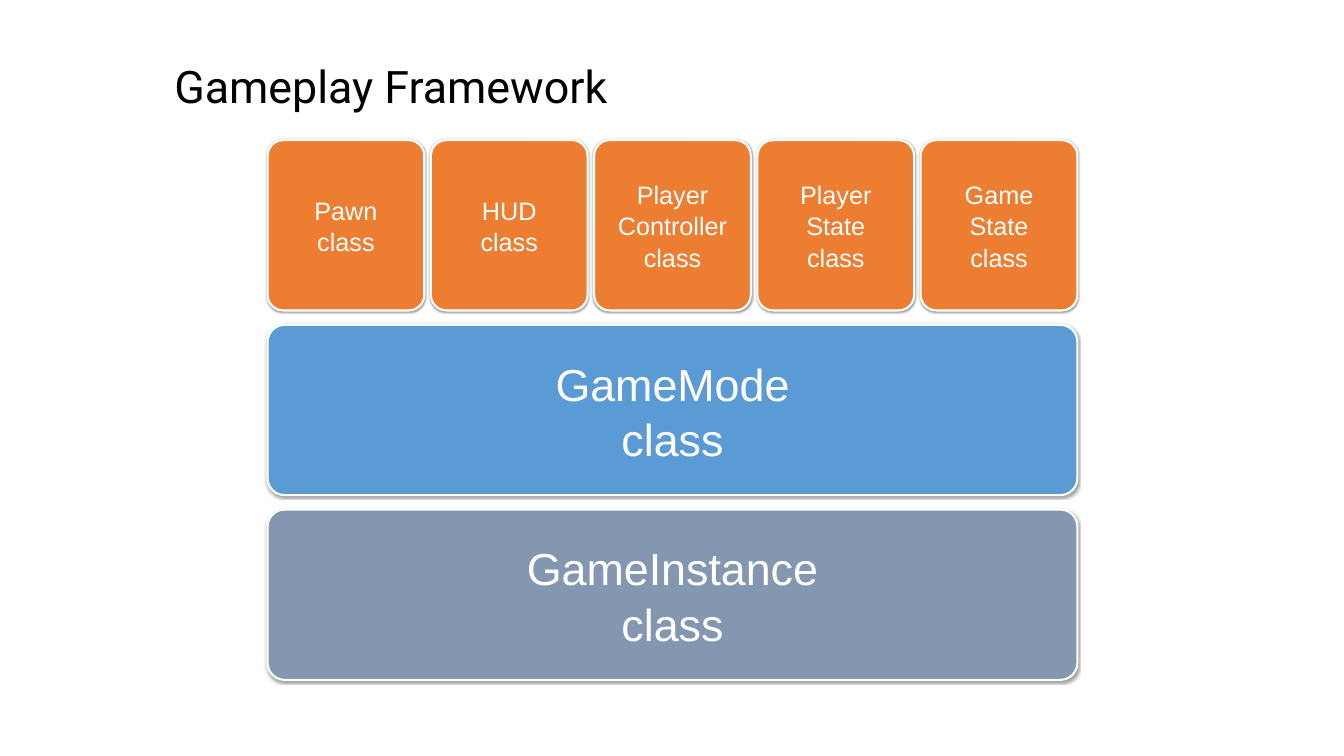
from lxml import etree
from pptx import Presentation
from pptx.dml.color import RGBColor
from pptx.enum.shapes import MSO_SHAPE
from pptx.enum.text import MSO_ANCHOR, PP_ALIGN
from pptx.oxml.ns import qn
from pptx.util import Inches, Pt

ROUNDED = MSO_SHAPE.ROUNDED_RECTANGLE
TOP, MIDDLE = MSO_ANCHOR.TOP, MSO_ANCHOR.MIDDLE
LEFT, CENTER = PP_ALIGN.LEFT, PP_ALIGN.CENTER

WHITE = RGBColor(0xFF, 0xFF, 0xFF)
BLACK = RGBColor(0x00, 0x00, 0x00)
ORANGE = RGBColor(0xED, 0x7D, 0x31)
BLUE = RGBColor(0x5B, 0x9B, 0xD5)
SLATE = RGBColor(0x84, 0x97, 0xB0)

SLIDE_W, SLIDE_H = 26.67, 15
TITLE_BOX = (3.26, 1.07, 22.49, 1.28)
STACK_BOX = (5.31, 2.78, 16.07, 10.71)
ROW_GAP, COLUMN_GAP = 0.285, 0.13

ACTOR_CLASSES = ["Pawn", "HUD", "Player Controller", "Player State", "Game State"]
BASE_CLASSES = [("GameMode", BLUE), ("GameInstance", SLATE)]


def write_text(tf, lines, size, font="Arial", color=WHITE, align=CENTER,
               anchor=MIDDLE, inset=(0.27, 0.27), spacing=1.04):
    tf.word_wrap = True
    tf.vertical_anchor = anchor
    tf.margin_left = tf.margin_right = Inches(inset[0])
    tf.margin_top = tf.margin_bottom = Inches(inset[1])
    for i, line in enumerate(lines):
        p = tf.add_paragraph() if i else tf.paragraphs[0]
        p.alignment = align
        p.line_spacing = spacing
        r = p.add_run()
        r.text = line
        r.font.size = Pt(size)
        r.font.name = font
        r.font.color.rgb = color


def add_soft_shadow(sp):
    sp.shadow.inherit = False
    effects = sp.element.spPr.find(qn("a:effectLst"))
    shadow = etree.SubElement(effects, qn("a:outerShdw"), blurRad=str(Pt(3.1)),
                              dist=str(Pt(1.6)), dir="5400000", rotWithShape="0")
    color = etree.SubElement(shadow, qn("a:srgbClr"), val=str(BLACK))
    etree.SubElement(color, qn("a:alpha"), val="38000")


def add_class_block(s, box, name, fill, size, inset):
    sp = s.shapes.add_shape(ROUNDED, *map(Inches, box))
    sp.adjustments[0] = 0.1
    sp.fill.solid()
    sp.fill.fore_color.rgb = fill
    sp.line.color.rgb = WHITE
    sp.line.width = Pt(3)
    add_soft_shadow(sp)
    write_text(sp.text_frame, [name, "class"], size, inset=(inset, inset))


def split(start, length, count, gap):
    size = (length - gap * (count - 1)) / count
    return [start + i * (size + gap) for i in range(count)], size


def add_title(s, box):
    tf = s.shapes.add_textbox(*map(Inches, box)).text_frame
    write_text(tf, ["Gameplay Framework"], 64, font="Roboto", color=BLACK,
               align=LEFT, anchor=TOP, inset=(0.2, 0.1), spacing=1.0)


def add_class_stack(s, box):
    x, y, w, h = box
    tops, row_h = split(y, h, 1 + len(BASE_CLASSES), ROW_GAP)
    lefts, column_w = split(x, w, len(ACTOR_CLASSES), COLUMN_GAP)
    for top, (name, fill) in zip(tops[1:], BASE_CLASSES):
        add_class_block(s, (x, top, w, row_h), name, fill, 64, 0.27)
    for left, name in zip(lefts, ACTOR_CLASSES):
        add_class_block(s, (left, y, column_w, row_h), name, ORANGE, 36, 0.15)


def main():
    prs = Presentation()
    prs.slide_width, prs.slide_height = Inches(SLIDE_W), Inches(SLIDE_H)
    s = prs.slides.add_slide(prs.slide_layouts[6])
    s.background.fill.solid()
    s.background.fill.fore_color.rgb = WHITE
    add_class_stack(s, STACK_BOX)
    add_title(s, TITLE_BOX)
    prs.save("out.pptx")


if __name__ == "__main__":
    main()
